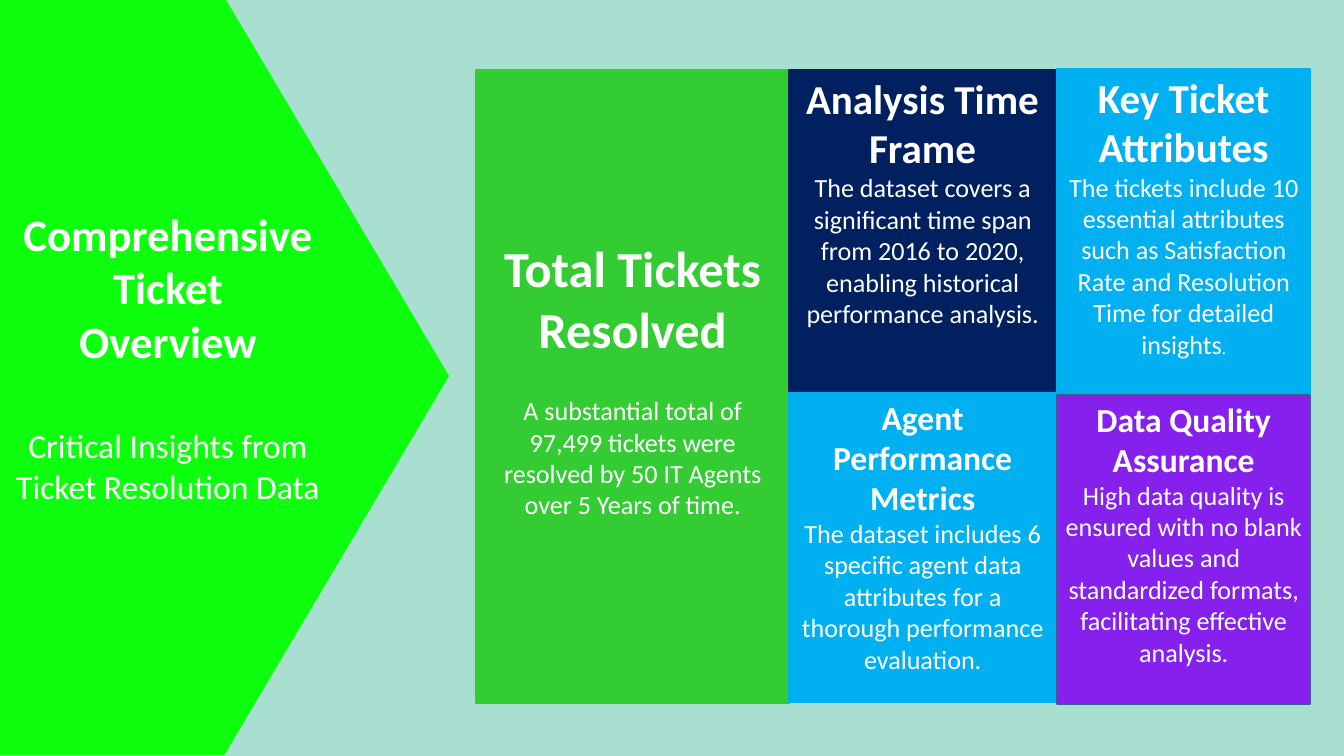
"""Build the ticket overview slide: a title arrow beside five summary cards."""
from pptx import Presentation
from pptx import util as u
from pptx.dml.color import RGBColor
from pptx.enum import shapes, text

MINT = RGBColor(0xA9, 0xDF, 0xD0)
LIME = RGBColor(0x0D, 0xFF, 0x0D)
GREEN = RGBColor(0x33, 0xCC, 0x33)
NAVY = RGBColor(0x00, 0x20, 0x60)
SKY = RGBColor(0x00, 0xB0, 0xF0)
PURPLE = RGBColor(0x86, 0x20, 0xEC)
SLATE = RGBColor(0x3A, 0x5F, 0x8C)
WHITE = RGBColor(0xFF, 0xFF, 0xFF)

WIDTH, HEIGHT = 20, 11.25
ARROW_WIDTH = WIDTH / 3
COLUMNS = {"total": (7.08, 4.67), "middle": (11.74, 3.98), "right": (15.73, 3.77)}
ROWS = {
    "full": (1.04, 9.42),
    "middle top": (1.04, 4.79),
    "middle bottom": (5.85, 4.6),
    "right top": (1.03, 4.83),
    "right bottom": (5.88, 4.6),
}

CARDS = [
    ("total", "full", GREEN, GREEN, 2.49, [
        ([("Total Tickets Resolved", 54, True)], 0),
        ([("A substantial total of", 28, False)], 39),
        ([("97,499 tickets were resolved by 50 IT Agents over 5 Years of time.",
           28, False)], 0)]),
    ("middle", "middle top", NAVY, NAVY, 0.05, [
        ([("Analysis Time Frame", 44, True)], 0),
        ([("The dataset covers a significant time span from 2016 to 2020, "
           "enabling historical performance analysis.", 28, False)], 0)]),
    ("middle", "middle bottom", SKY, SKY, 0.05, [
        ([("Agent Performance Metrics", 36, True)], 0),
        ([("The dataset includes 6 specific agent data attributes for a "
           "thorough performance evaluation.", 28, False)], 0)]),
    ("right", "right top", SKY, SKY, 0.05, [
        ([("Key Ticket Attributes", 44, True)], 0),
        ([("The tickets include 10 essential attributes such as Satisfaction "
           "Rate and Resolution Time for detailed insights", 28, False),
          (".", 18, False)], 0)]),
    ("right", "right bottom", PURPLE, SLATE, 0.05, [
        ([("Data Quality Assurance", 36, True)], 0),
        ([("High data quality is ensured with no blank values and standardized "
           "formats, facilitating effective analysis.", 28, False)], 0)]),
]
TITLE = [([("Comprehensive Ticket", 48, True)], 0), ([("Overview", 48, True)], 0)]
SUBTITLE = [([("Critical Insights from", 36, False)], 0),
            ([("Ticket Resolution Data", 36, False)], 0)]


def apply(target, values):
    """Set each named attribute of the target."""
    for name, value in values.items():
        setattr(target, name, value)


def write(shape, paragraphs, top_margin=0.05):
    """Fill a shape with centred white paragraphs, starting below its top margin."""
    frame = shape.text_frame
    apply(frame, {"word_wrap": True, "auto_size": text.MSO_AUTO_SIZE.NONE,
                  "vertical_anchor": text.MSO_ANCHOR.TOP,
                  "margin_top": u.Inches(top_margin)})
    for index, (runs, gap) in enumerate(paragraphs):
        paragraph = frame.add_paragraph() if index else frame.paragraphs[0]
        apply(paragraph, {"alignment": text.PP_ALIGN.CENTER,
                          "space_before": u.Pt(gap)})
        for words, size, bold in runs:
            run = paragraph.add_run()
            run.text = words
            apply(run.font, {"name": "Calibri", "size": u.Pt(size), "bold": bold})
            run.font.color.rgb = WHITE


def add_panel(slide, kind, box, fill, outline):
    """Add a flat coloured shape with a two-point outline."""
    shape = slide.shapes.add_shape(kind, *map(u.Inches, box))
    shape.shadow.inherit = False
    shape.fill.solid()
    shape.fill.fore_color.rgb = fill
    shape.line.color.rgb = outline
    shape.line.width = u.Pt(2)
    return shape


def add_card(slide, column, row, fill, outline, top_margin, paragraphs):
    """Add one summary card in its grid cell."""
    (left, width), (top, height) = COLUMNS[column], ROWS[row]
    card = add_panel(slide, shapes.MSO_SHAPE.RECTANGLE,
                     (left, top, width, height), fill, outline)
    write(card, paragraphs, top_margin)


def add_title_arrow(slide):
    """Add the arrow with its subtitle and lay the title placeholder over it."""
    arrow = add_panel(slide, shapes.MSO_SHAPE.PENTAGON,
                      (0, -0.03, ARROW_WIDTH, HEIGHT), LIME, LIME)
    write(arrow, SUBTITLE, 6.36)
    title = slide.shapes.title
    apply(title, {"left": 0, "top": u.Inches(3.02),
                  "width": u.Inches(ARROW_WIDTH * 3 / 4), "height": u.Inches(2.54)})
    write(title, TITLE)
    arrow._element.addnext(title._element)


def main():
    """Build and save the slide."""
    presentation = Presentation()
    apply(presentation, {"slide_width": u.Inches(WIDTH),
                         "slide_height": u.Inches(HEIGHT)})
    slide = presentation.slides.add_slide(presentation.slide_layouts[5])
    slide.background.fill.solid()
    slide.background.fill.fore_color.rgb = MINT
    add_title_arrow(slide)
    for card in CARDS:
        add_card(slide, *card)
    presentation.save("out.pptx")


if __name__ == "__main__":
    main()
